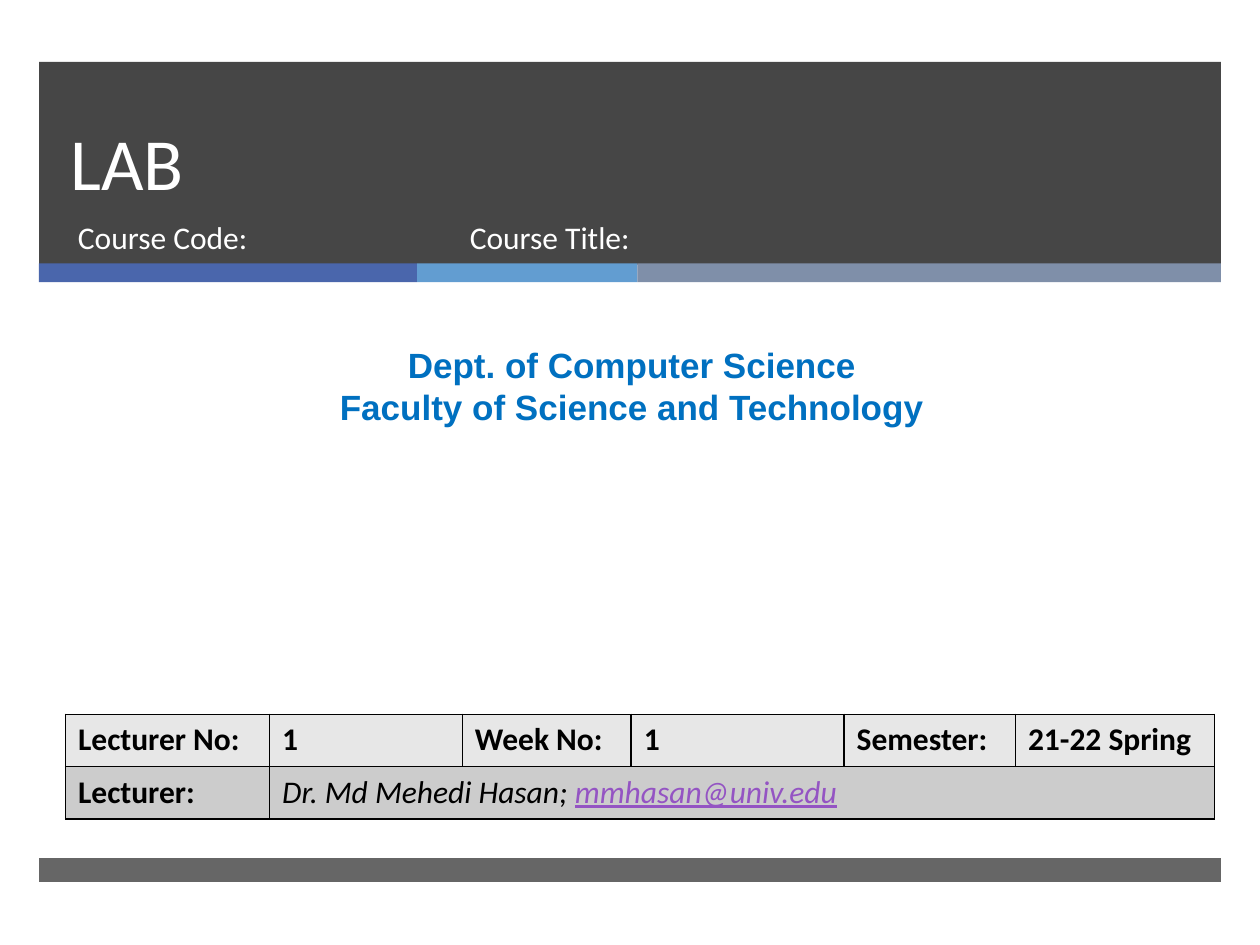
"""Build the title slide of a lab course."""
import pptx
import pptx.dml.color
import pptx.enum.shapes
import pptx.enum.text
import pptx.oxml.ns
import pptx.util
from lxml import etree
from pptx.util import Inches, Pt

RGB = pptx.dml.color.RGBColor
DARK = RGB(0x26, 0x26, 0x26)
NAVY = RGB(0x4A, 0x66, 0xAC)
SKY = RGB(0x62, 0x9D, 0xD1)
SLATE = RGB(0x7F, 0x8F, 0xA9)
BLUE = RGB(0x00, 0x70, 0xC0)
PURPLE = RGB(0x94, 0x54, 0xC3)
LIGHT = RGB(0xE7, 0xE7, 0xE7)
GRAY = RGB(0xCC, 0xCC, 0xCC)
WHITE = RGB(0xFF, 0xFF, 0xFF)
BLACK = RGB(0x00, 0x00, 0x00)
ALIGN = pptx.enum.text.PP_ALIGN
ANCHOR = pptx.enum.text.MSO_ANCHOR
qn = pptx.oxml.ns.qn


def style(para, size, color, name="Calibri", bold=False):
    font = para.font
    font.name, font.size, font.bold = name, Pt(size), bold
    font.color.rgb = color


deck = pptx.Presentation()
deck.slide_width, deck.slide_height = Inches(10), Inches(7.5)
slide = deck.slides.add_slide(deck.slide_layouts[5])
shapes = slide.shapes

bars = [
    (0.31, 0.49, 9.38, 1.61, DARK, 85),
    (0.31, 2.09, 3, 0.15, NAVY, 100),
    (3.31, 2.09, 1.75, 0.15, SKY, 100),
    (5.06, 2.09, 4.63, 0.15, SLATE, 100),
    (0.31, 6.81, 9.38, 0.19, DARK, 70),
]
for left, top, width, height, color, alpha in bars:
    bar = shapes.add_shape(
        pptx.enum.shapes.MSO_SHAPE.RECTANGLE,
        Inches(left), Inches(top), Inches(width), Inches(height))
    bar.shadow.inherit = False
    bar.fill.solid()
    bar.fill.fore_color.rgb = color
    bar.line.fill.background()
    if alpha < 100:
        tone = bar.element.spPr.find(qn("a:solidFill"))[0]
        etree.SubElement(tone, qn("a:alpha"), val=str(alpha * 1000))

title = shapes.title
shapes.element.append(title.element)
title.left, title.top = Inches(0.46), Inches(0.49)
title.width, title.height = Inches(8.54), Inches(1.19)
frame = title.text_frame
frame.text = "LAB"
frame.auto_size = pptx.enum.text.MSO_AUTO_SIZE.NONE
frame.vertical_anchor = ANCHOR.BOTTOM
head = frame.paragraphs[0]
head.alignment = ALIGN.LEFT
head.line_spacing = Pt(46)
style(head, 42, WHITE)

notes = [
    (0.52, 1.68, 3.05, 0.53, "Course Code:", 18, WHITE, "Calibri", False, ALIGN.LEFT),
    (3.63, 1.68, 4.55, 0.53, "Course Title:", 18, WHITE, "Calibri", False, ALIGN.LEFT),
    (0.08, 2.68, 9.87, 0.77,
     "Dept. of Computer Science\nFaculty of Science and Technology",
     20, BLUE, "Arial", True, ALIGN.CENTER),
]
for left, top, width, height, text, size, color, name, bold, align in notes:
    box = shapes.add_textbox(Inches(left), Inches(top), Inches(width), Inches(height))
    box.text_frame.word_wrap = True
    box.text_frame.text = text
    for para in box.text_frame.paragraphs:
        para.alignment = align
        style(para, size, color, name, bold)

table = shapes.add_table(
    2, 6, Inches(0.52), Inches(5.67), Inches(9.12), Inches(0.83)).table
for col, width in zip(table.columns, [1.62, 1.53, 1.34, 1.69, 1.36, 1.58]):
    col.width = Inches(width)
for row in table.rows:
    row.height = Inches(0.415)
table.cell(1, 1).merge(table.cell(1, 5))

rows = [
    ["Lecturer No:", "1", "Week No:", "1", "Semester:", "21-22 Spring"],
    ["Lecturer:", "Dr. Md Mehedi Hasan; ", "", "", "", ""],
]
for r, (texts, shade) in enumerate(zip(rows, [LIGHT, GRAY])):
    for c, text in enumerate(texts):
        cell = table.cell(r, c)
        if not cell.is_spanned:
            cell.text = text
            style(cell.text_frame.paragraphs[0], 18, BLACK, bold=True)
        props = cell._tc.get_or_add_tcPr()
        for side in ("a:lnL", "a:lnR", "a:lnT", "a:lnB"):
            edge = etree.SubElement(props, qn(side), w=str(Pt(1)))
            paint = etree.SubElement(edge, qn("a:solidFill"))
            etree.SubElement(paint, qn("a:srgbClr"), val=str(BLACK))
        cell.fill.solid()
        cell.fill.fore_color.rgb = shade

staff = table.cell(1, 1).text_frame.paragraphs[0]
staff.font.bold, staff.font.italic = False, True
mail = staff.add_run()
mail.text = "mmhasan@univ.edu"
mail.font.color.rgb = PURPLE
mail.font.underline = True

deck.save("out.pptx")
